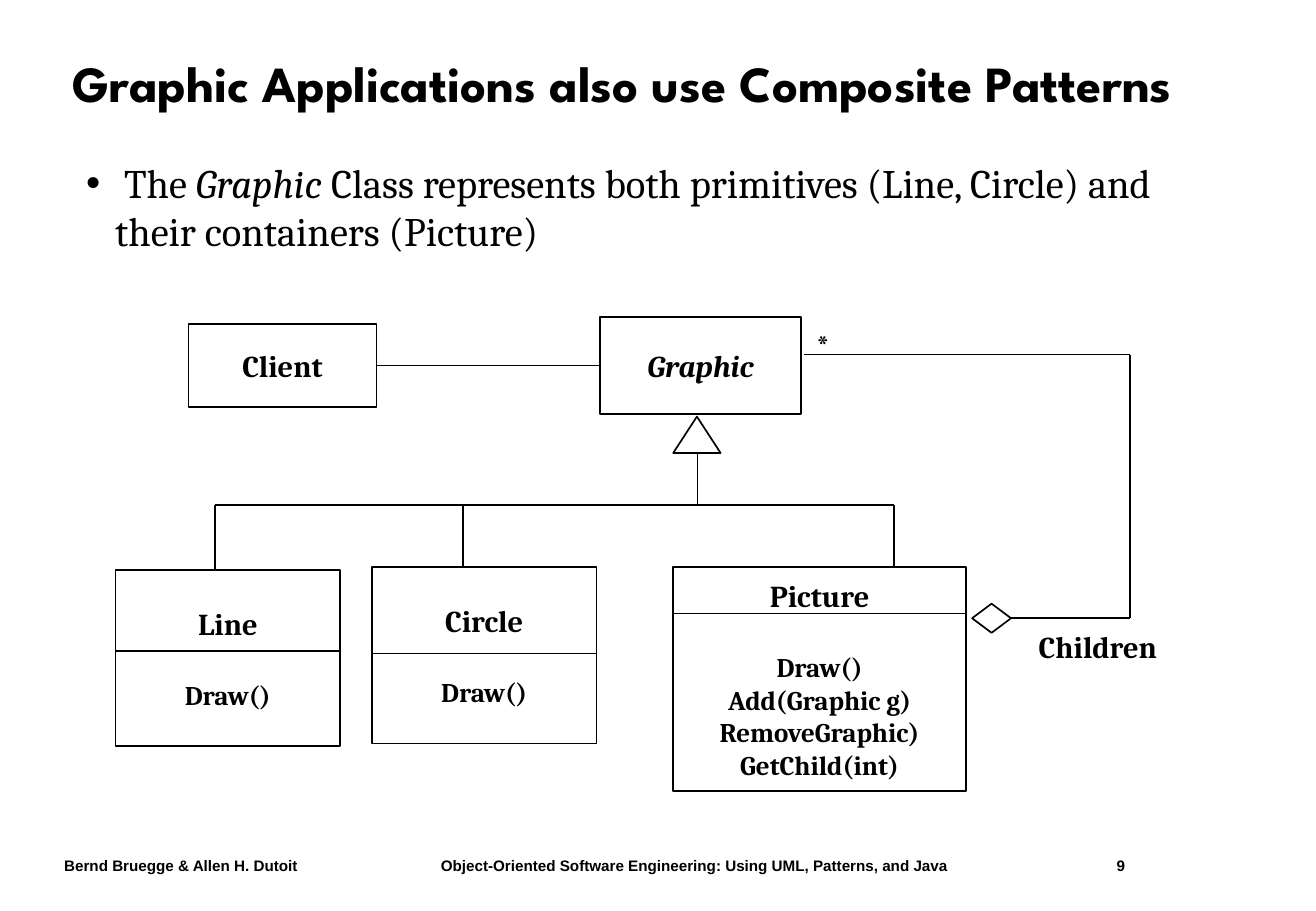
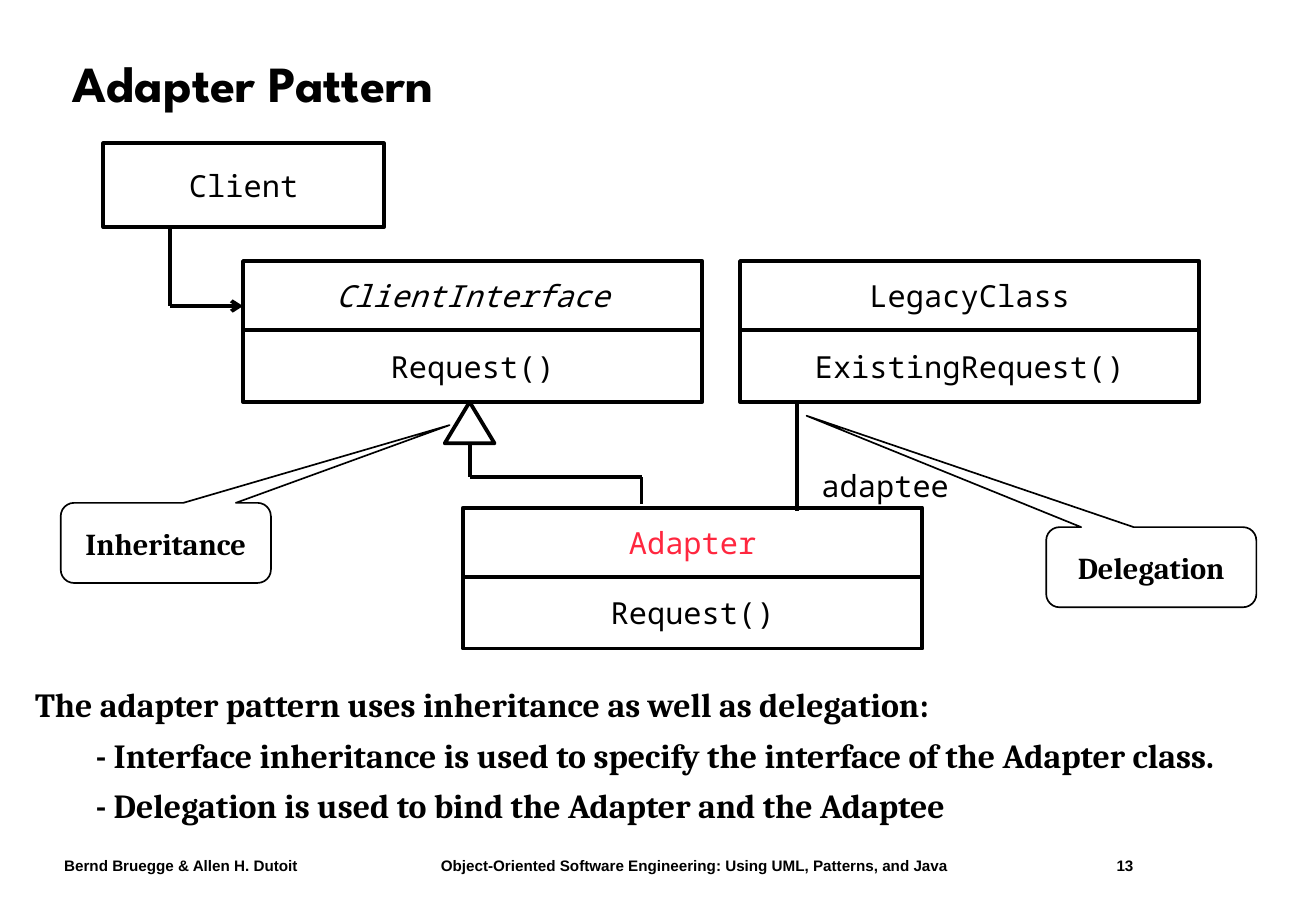
from dataclasses import dataclass, replace

from lxml import etree
from pptx import Presentation
from pptx import util as u
from pptx.dml import color as colors
from pptx.enum import shapes, text
from pptx.oxml import ns

PX = 9144
KIND = shapes.MSO_SHAPE
LEFT, CENTER = text.PP_ALIGN.LEFT, text.PP_ALIGN.CENTER


@dataclass(frozen=True)
class Style:
    font: str
    size: int
    bold: bool = False
    italic: bool = False
    color: str = "000000"


@dataclass(frozen=True)
class Theme:
    ink: str = "000000"
    paper: str = "FFFFFF"
    thin: float = 1
    thick: float = 2.25
    title: Style = Style("League Spartan", 30, bold=True)
    footer: Style = Style("Arial", 9, bold=True)
    body: Style = Style("Cambria", 24)
    notes: Style = Style("Cambria", 20, bold=True)
    label: Style = Style("Cambria", 18, bold=True)
    method: Style = Style("Cambria", 16, bold=True)
    code: Style = Style("Noto Sans Mono", 18)
    abstract_code: Style = Style("Noto Sans Mono", 18, italic=True)
    accent_code: Style = Style("Noto Sans Mono", 18, color="FF273F")


THEME = Theme()


def px(*lengths):
    return [u.Emu(length * PX) for length in lengths]


def rgb(value):
    return colors.RGBColor.from_string(value)


def set_font(font, style):
    font.name = style.font
    font.size = u.Pt(style.size)
    font.bold = style.bold
    font.italic = style.italic
    font.color.rgb = rgb(style.color)


def add_bullet(paragraph, indent):
    properties = paragraph._p.get_or_add_pPr()
    properties.set("marL", str(indent * PX))
    properties.set("indent", str(-indent * PX))
    tint = etree.SubElement(properties, ns.qn("a:buClr"))
    etree.SubElement(tint, ns.qn("a:srgbClr"), val=THEME.ink)
    etree.SubElement(properties, ns.qn("a:buFont"), typeface="Arial")
    etree.SubElement(properties, ns.qn("a:buChar"), char="•")


def add_line(frame, words, style, align=LEFT, before=0, after=0, indent=0, bullet=0):
    first = frame.paragraphs[0]
    paragraph = frame.add_paragraph() if first.runs else first
    paragraph.alignment = align
    if before:
        paragraph.space_before = u.Pt(before)
    if after:
        paragraph.space_after = u.Pt(after)
    if indent:
        paragraph.level = 1
        properties = paragraph._p.get_or_add_pPr()
        properties.set("marL", str(indent * PX))
        properties.set("indent", "0")
    if bullet:
        add_bullet(paragraph, bullet)
    set_font(paragraph.font, style)
    paragraph.add_run().text = words
    return paragraph


def text_box(slide, box, wrap=True, inset=True, anchor=text.MSO_ANCHOR.TOP):
    frame = slide.shapes.add_textbox(*px(*box)).text_frame
    frame.word_wrap = wrap
    frame.vertical_anchor = anchor
    if not inset:
        frame.margin_left = frame.margin_right = 0
        frame.margin_top = frame.margin_bottom = 0
    return frame


def outline(slide, box, kind=KIND.RECTANGLE, weight=THEME.thin, filled=True):
    shape = slide.shapes.add_shape(kind, *px(*box))
    shape.shadow.inherit = False
    if filled:
        shape.fill.solid()
        shape.fill.fore_color.rgb = rgb(THEME.paper)
    else:
        shape.fill.background()
    shape.line.color.rgb = rgb(THEME.ink)
    shape.line.width = u.Pt(weight)
    shape.text_frame.word_wrap = False
    shape.text_frame.vertical_anchor = text.MSO_ANCHOR.MIDDLE
    return shape


def labelled(slide, box, words, style, **look):
    shape = outline(slide, box, **look)
    add_line(shape.text_frame, words, style, CENTER)
    return shape


def line(slide, start, end, weight=THEME.thin, arrow=False):
    connector = slide.shapes.add_connector(
        shapes.MSO_CONNECTOR.STRAIGHT, *px(*start, *end))
    connector.line.color.rgb = rgb(THEME.ink)
    connector.line.width = u.Pt(weight)
    if arrow:
        etree.SubElement(connector.line._get_or_add_ln(), ns.qn("a:tailEnd"),
                         type="arrow")
    etree.SubElement(connector._element.spPr, ns.qn("a:effectLst"))
    return connector


def route(slide, points, weight=THEME.thin, arrow=False):
    last = len(points) - 2
    for step, (start, end) in enumerate(zip(points, points[1:])):
        line(slide, start, end, weight, arrow and step == last)


def class_box(slide, box, name, methods, divider):
    left, top, width, _ = box
    frame = labelled(slide, box, name, THEME.label).text_frame
    for row, method in enumerate(methods):
        add_line(frame, method, THEME.method, CENTER, before=0 if row else 22)
    line(slide, (left, top + divider), (left + width, top + divider))


def code_class(slide, left, top, name, method, name_style=THEME.code):
    width, name_height, method_height = 378, 57, 59
    rows = ((top, name_height, name, name_style),
            (top + name_height, method_height, method, THEME.code))
    for row_top, height, words, style in rows:
        labelled(slide, (left, row_top, width, height), words, style,
                 weight=THEME.thick, filled=False)


def callout(slide, left, top, words, pointer):
    bubble = labelled(slide, (left, top, 173, 66), words, THEME.label,
                      kind=KIND.ROUNDED_RECTANGULAR_CALLOUT)
    for index, value in enumerate(pointer):
        bubble.adjustments[index] = value


def new_slide(deck, heading, number):
    slide = deck.slides.add_slide(deck.slide_layouts[6])
    title = text_box(slide, (50, 24, 966, 94), anchor=text.MSO_ANCHOR.MIDDLE)
    add_line(title, heading, THEME.title).line_spacing = 0.9
    footer = (
        (43, 300, "Bernd Bruegge & Allen H. Dutoit"),
        (353, 500, "Object-Oriented Software Engineering: Using UML, Patterns, and Java"),
        (909, 100, str(number)),
    )
    for left, width, words in footer:
        add_line(text_box(slide, (left, 700, width, 25)), words, THEME.footer)
    return slide


def composite_slide(deck):
    slide = new_slide(deck, "Graphic Applications also use Composite Patterns", 9)

    summary = add_line(text_box(slide, (61, 125, 939, 90)), " The ", THEME.body, bullet=24)
    class_name = summary.add_run()
    class_name.text = "Graphic"
    class_name.font.italic = True
    summary.add_run().text = (
        " Class represents both primitives (Line, Circle) and their containers (Picture)")

    client = labelled(slide, (155, 267, 155, 68), "Client", THEME.label)
    graphic = labelled(slide, (494, 261, 165, 80), "Graphic",
                       replace(THEME.label, italic=True))
    association = line(slide, (310, 301), (494, 301))
    association.begin_connect(client, 3)
    association.end_connect(graphic, 1)

    bus, line_x, circle_x, picture_x = 416, 177, 381, 736
    outline(slide, (554, 343, 39, 30), KIND.ISOSCELES_TRIANGLE)
    line(slide, (574, 373), (574, bus))
    line(slide, (line_x, bus), (picture_x, bus))
    for child_x, child_top in ((line_x, 469), (circle_x, 467), (picture_x, 467)):
        line(slide, (child_x, bus), (child_x, child_top))

    class_box(slide, (95, 469, 185, 145), "Line", ["Draw()"], 67)
    class_box(slide, (306, 467, 185, 145), "Circle", ["Draw()"], 71)
    class_box(slide, (554, 467, 241, 184), "Picture",
              ["Draw()", "Add(Graphic g)", "RemoveGraphic)", "GetChild(int)"], 38)

    aggregation = outline(slide, (800, 497, 32, 24), KIND.DIAMOND)
    line(slide, (832, 509), (930, 509)).begin_connect(aggregation, 3)
    route(slide, [(930, 509), (930, 292), (662, 292)])
    for box, words in (((845, 512, 123, 40), "Children"), ((662, 264, 31, 40), "*")):
        add_line(text_box(slide, box, wrap=False), words, THEME.label)


def adapter_slide(deck):
    slide = new_slide(deck, "Adapter Pattern", 13)
    thick = THEME.thick

    labelled(slide, (85, 118, 231, 69), "Client", THEME.code, weight=thick, filled=False)
    route(slide, [(140, 187), (140, 252), (200, 252)], thick, arrow=True)

    code_class(slide, 200, 215, "ClientInterface", "Request()", THEME.abstract_code)
    code_class(slide, 609, 215, "LegacyClass", "ExistingRequest()")
    code_class(slide, 381, 418, "Adapter", "Request()", THEME.accent_code)

    outline(slide, (366, 331, 41, 34), KIND.ISOSCELES_TRIANGLE, thick, filled=False)
    route(slide, [(387, 365), (387, 393), (528, 393), (528, 415)], thick)
    line(slide, (656, 331), (656, 421), thick)
    adaptee = text_box(slide, (676, 385, 105, 30), wrap=False, inset=False)
    add_line(adaptee, "adaptee", THEME.code)

    callout(slide, 861, 434, "Delegation", (-1.64, -1.89))
    callout(slide, 50, 414, "Inheritance", (1.35, -1.47))

    notes = text_box(slide, (19, 558, 1058, 127))
    for words, indent in (
        ("The adapter pattern uses inheritance as well as delegation:", 0),
        ("- Interface inheritance is used to specify the interface of the Adapter class.", 50),
        ("- Delegation is used to bind the Adapter and the Adaptee", 50),
    ):
        add_line(notes, words, THEME.notes, after=6, indent=indent)


def main():
    deck = Presentation()
    deck.slide_width, deck.slide_height = px(1083, 750)
    composite_slide(deck)
    adapter_slide(deck)
    deck.save("out.pptx")


if __name__ == "__main__":
    main()
